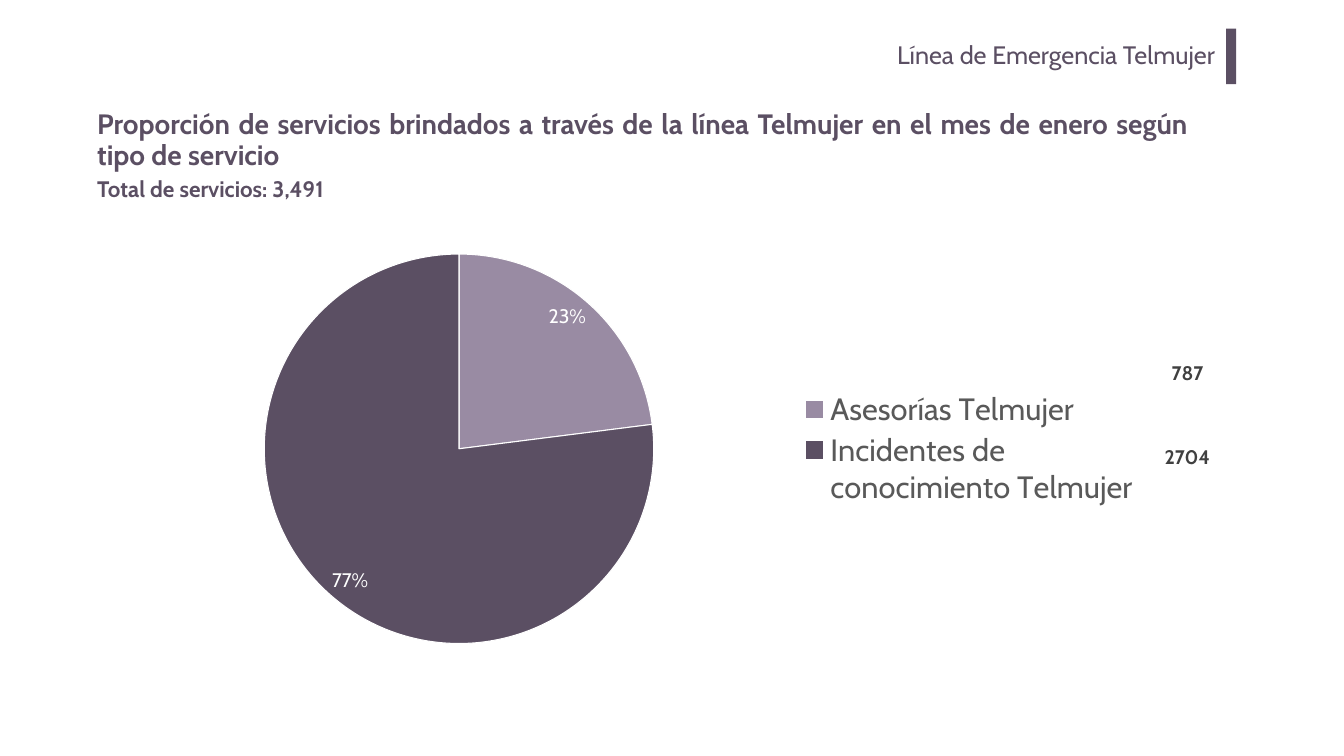
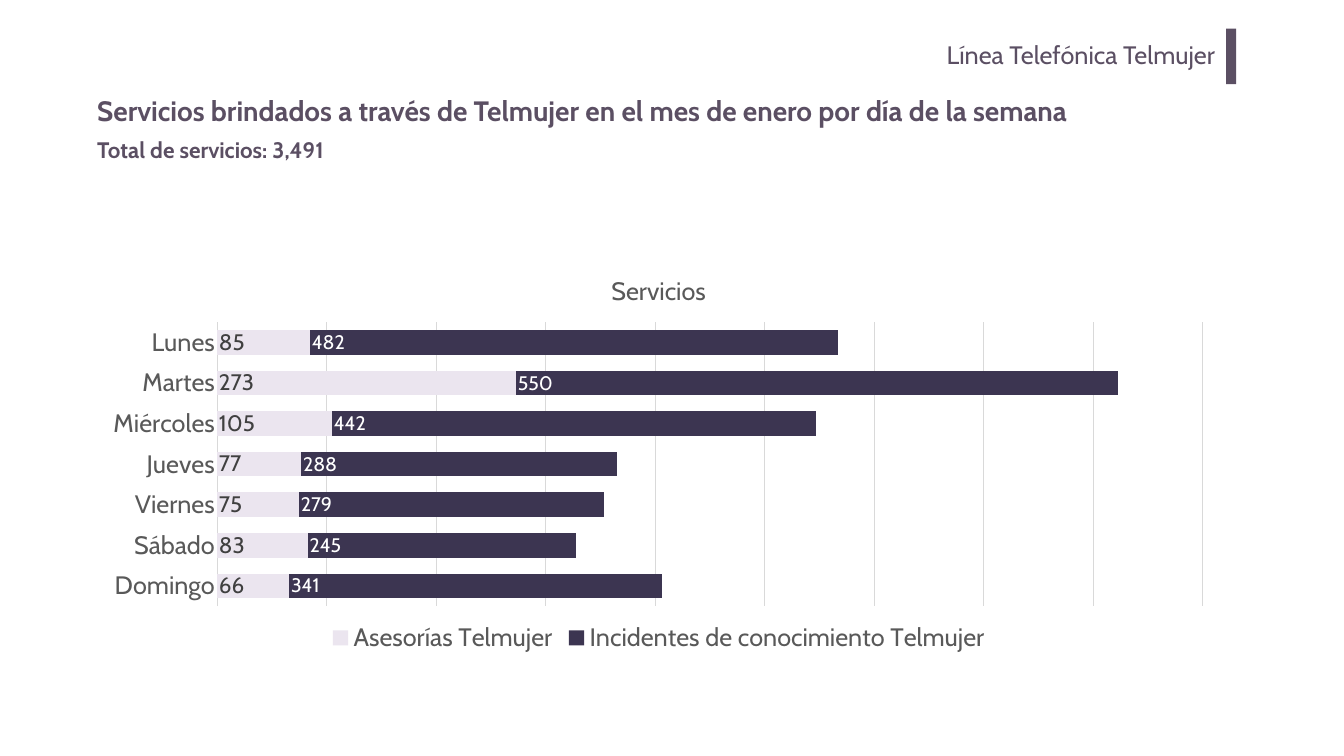
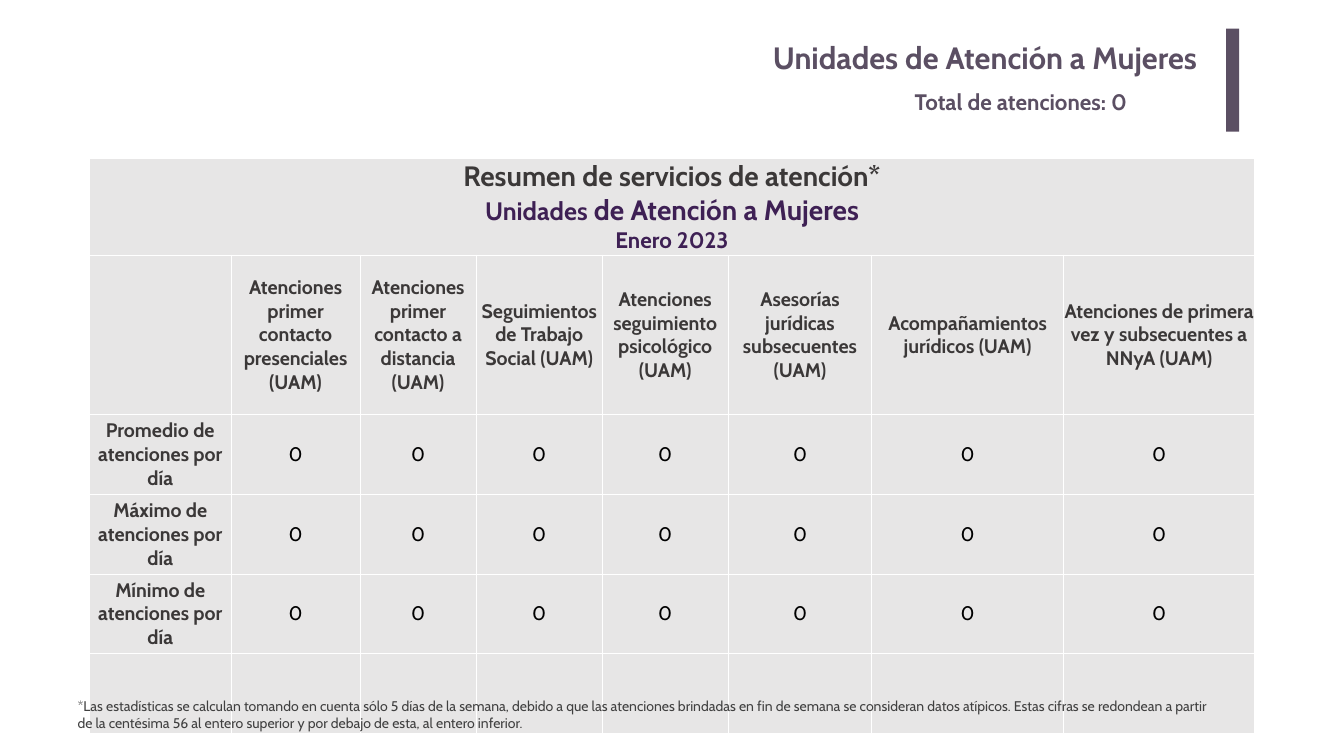
from lxml import etree
from pptx import Presentation
from pptx import util as u
from pptx.chart import data
from pptx.dml import color
from pptx.enum import chart as ch
from pptx.enum import shapes, text
from pptx.oxml import ns

FONT = "Cabin"
HUES = {
    "plum": "5B4F63", "mauve": "998BA3", "pale": "EBE5EF", "night": "3C3551",
    "violet": "3E2054", "dark": "404040", "ink": "3B3838", "label": "595959",
    "grid": "D9D9D9", "cell": "E7E6E6", "white": "FFFFFF", "black": "000000",
}
ALIGN = text.PP_ALIGN
TOTAL = "Total de servicios: 3,491"
KINDS = ["Asesorías Telmujer", "Incidentes de conocimiento Telmujer"]


def rgb(name):
    return color.RGBColor.from_string(HUES[name])


def style(font, size, hue, bold=False):
    font.name = FONT
    font.size = u.Pt(size)
    font.bold = bold
    font.color.rgb = rgb(hue)


def write(par, words, size=28, hue="plum", bold=False, align=ALIGN.LEFT, space=None):
    par.alignment = align
    if space:
        par.line_spacing = space
    run = par.add_run()
    run.text = words
    style(run.font, size, hue, bold)


def paint(fill, hue):
    fill.solid()
    fill.fore_color.rgb = rgb(hue)


def place(part, x, y, w, h, inner=False):
    for old in part.findall(ns.qn("c:layout")):
        part.remove(old)
    layout = etree.Element(ns.qn("c:layout"))
    manual = etree.SubElement(layout, ns.qn("c:manualLayout"))
    pairs = [("layoutTarget", "inner")] if inner else []
    pairs += [("xMode", "edge"), ("yMode", "edge"), ("x", x), ("y", y), ("w", w), ("h", h)]
    for tag, val in pairs:
        etree.SubElement(manual, ns.qn("c:" + tag)).set("val", str(val))
    part.insert(0 if inner else 1, layout)


def border(cell, hue="white", width=1):
    props = cell._tc.get_or_add_tcPr()
    for i, side in enumerate(("lnL", "lnR", "lnT", "lnB")):
        line = etree.Element(ns.qn("a:" + side), w=str(u.Pt(width)))
        fill = etree.SubElement(line, ns.qn("a:solidFill"))
        etree.SubElement(fill, ns.qn("a:srgbClr"), val=HUES[hue])
        props.insert(i, line)


class Deck:
    def __init__(self):
        self.prs = Presentation()
        self.prs.slide_width = u.Inches(26.67)
        self.prs.slide_height = u.Inches(15)
        self.slide = None

    def page(self):
        self.slide = self.prs.slides.add_slide(self.prs.slide_layouts[6])
        paint(self.slide.background.fill, "white")

    def text(self, box, words, inset=(0.1, 0.05), anchor=text.MSO_ANCHOR.TOP, **fmt):
        frame = self.slide.shapes.add_textbox(*map(u.Inches, box)).text_frame
        frame.word_wrap = True
        frame.vertical_anchor = anchor
        frame.margin_left = frame.margin_right = u.Inches(inset[0])
        frame.margin_top = frame.margin_bottom = u.Inches(inset[1])
        write(frame.paragraphs[0], words, **fmt)

    def bar(self, w, h):
        shape = self.slide.shapes.add_shape(
            shapes.MSO_SHAPE.RECTANGLE, *map(u.Inches, (24.33, 0.57, w, h)))
        shape.shadow.inherit = False
        paint(shape.fill, "plum")
        shape.line.fill.background()

    def head(self, words, left=4.01, size=36, bold=False, bar=(0.2, 1.1)):
        self.text((left, 0.67, 20.3, 1.02), words, inset=(0.2, 0.1),
                  size=size, bold=bold, align=ALIGN.RIGHT)
        self.bar(*bar)

    def title(self, words, top, below, width):
        self.text((1.83, top, 21.85, 1.45), words, anchor=text.MSO_ANCHOR.MIDDLE,
                  size=40, bold=True, align=ALIGN.JUSTIFY, space=0.9)
        self.text((1.83, below, width, 0.64), TOTAL, size=32, bold=True)

    def chart(self, box, kind, cats, rows, side, size):
        info = data.CategoryChartData()
        info.categories = cats
        for name, vals in rows:
            info.add_series(name, vals)
        chart = self.slide.shapes.add_chart(kind, *map(u.Inches, box), info).chart
        style(chart.font, 10, "black")
        chart.has_legend = True
        chart.legend.position = side
        chart.legend.include_in_layout = False
        style(chart.legend.font, size, "label")
        return chart

    def tags(self, owner, size, hue, place, percent=False):
        tags = owner.data_labels
        tags.show_percentage = percent
        tags.show_value = not percent
        tags.number_format = "0%" if percent else "0"
        tags.number_format_is_linked = False
        tags.position = place
        style(tags.font, size, hue)

    def table(self, spot, cols, rows):
        box = (*spot, sum(cols), sum(rows))
        grid = self.slide.shapes.add_table(
            len(rows), len(cols), *map(u.Inches, box)).table
        grid.first_row = grid.horz_banding = False
        for col, w in zip(grid.columns, cols):
            col.width = u.Inches(w)
        for row, h in zip(grid.rows, rows):
            row.height = u.Inches(h)
        for cell in grid.iter_cells():
            cell.margin_left = cell.margin_right = 0
            cell.margin_top = cell.margin_bottom = 0
            cell.vertical_anchor = text.MSO_ANCHOR.MIDDLE
            paint(cell.fill, "cell")
            border(cell)
        return grid


def share(deck):
    deck.page()
    deck.head("Línea de Emergencia Telmujer")
    deck.title("Proporción de servicios brindados a través de la línea Telmujer "
               "en el mes de enero según tipo de servicio", 2.07, 3.43, 5.64)
    for box, count in (((23.04, 7.12, 1.05, 0.51), "787"),
                       ((22.81, 8.77, 1.5, 0.51), "2704")):
        deck.text(box, count, hue="dark", bold=True, align=ALIGN.CENTER)
    chart = deck.chart((2.36, 4.88, 20.45, 8.05), ch.XL_CHART_TYPE.PIE, KINDS,
                       [("Series 1", (23, 77))], ch.XL_LEGEND_POSITION.RIGHT, 44)
    chart.has_title = False
    plot = chart.plots[0]
    plot.vary_by_categories = True
    for i, hue in enumerate(("mauve", "plum")):
        point = plot.series[0].points[i]
        paint(point.format.fill, hue)
        point.format.line.color.rgb = rgb("white")
        point.format.line.width = u.Pt(1.5)
    deck.tags(plot.series[0], 28, "white", ch.XL_LABEL_POSITION.INSIDE_END, True)
    place(chart._chartSpace.chart.plotArea, 0.14, 0.02, 0.38, 0.96, True)
    place(chart.legend._element, 0.66, 0.35, 0.33, 0.3)


def week(deck):
    deck.page()
    deck.head("Línea Telefónica Telmujer")
    deck.title("Servicios brindados a través de Telmujer en el mes de enero "
               "por día de la semana", 1.51, 2.65, 8.12)
    days = ["Domingo", "Sábado", "Viernes", "Jueves", "Miércoles", "Martes", "Lunes"]
    vals = [(66, 83, 75, 77, 105, 273, 85), (341, 245, 279, 288, 442, 550, 482)]
    chart = deck.chart((1.83, 5.12, 22.48, 7.94), ch.XL_CHART_TYPE.BAR_STACKED, days,
                       zip(KINDS, vals), ch.XL_LEGEND_POSITION.BOTTOM, 36)
    chart.has_title = True
    write(chart.chart_title.text_frame.paragraphs[0], "Servicios", size=36,
          hue="label", align=ALIGN.CENTER)
    plot = chart.plots[0]
    plot.vary_by_categories = False
    plot.gap_width = 65
    plot.overlap = 100
    looks = (("pale", 32, "dark"), ("night", 28, "white"))
    for row, (hue, size, ink) in zip(plot.series, looks):
        paint(row.format.fill, hue)
        deck.tags(row, size, ink, ch.XL_LABEL_POSITION.INSIDE_BASE)
    axis = chart.category_axis
    axis.major_tick_mark = ch.XL_TICK_MARK.NONE
    style(axis.tick_labels.font, 36, "label")
    scale = chart.value_axis
    scale.visible = False
    scale.minimum_scale, scale.maximum_scale, scale.major_unit = 0, 900, 100
    scale.has_major_gridlines = True
    for line in (axis.format.line, scale.major_gridlines.format.line):
        line.color.rgb = rgb("grid")
        line.width = u.Pt(0.75)
    place(chart._chartSpace.chart.plotArea, 0.11, 0.16, 0.87, 0.71, True)


def units(deck):
    deck.page()
    grid = deck.table((1.77, 3.15), [2.82, 2.55, 2.31, 2.5, 2.5, 2.85, 3.8, 3.8],
                      [1.91, 3.17] + [1.58] * 4)
    top = grid.cell(0, 0)
    top.merge(grid.cell(0, 7))
    lines = [[("Resumen de servicios de atención*", 40, "ink")],
             [("Unidades", 36, "violet"), (" de Atención a Mujeres", 40, "violet")],
             [("Enero 2023", 32, "violet")]]
    frame = top.text_frame
    for i, line in enumerate(lines):
        par = frame.add_paragraph() if i else frame.paragraphs[0]
        for words, size, hue in line:
            write(par, words, size=size, hue=hue, bold=True, align=ALIGN.CENTER)
    heads = ["", "Atenciones primer contacto presenciales (UAM)",
             "Atenciones primer contacto a distancia (UAM)",
             "Seguimientos de Trabajo Social (UAM)",
             "Atenciones seguimiento psicológico (UAM)",
             "Asesorías jurídicas subsecuentes (UAM)",
             "Acompañamientos jurídicos (UAM)",
             "Atenciones de primera vez y subsecuentes a NNyA (UAM)"]
    rows = [heads] + [[f"{name} de atenciones por día"] + ["0"] * 7
                      for name in ("Promedio", "Máximo", "Mínimo")]
    for r, row in enumerate(rows, 1):
        for c, words in enumerate(row):
            if words:
                bold = words != "0"
                write(grid.cell(r, c).text_frame.paragraphs[0], words, bold=bold,
                      hue="ink" if bold else "black", align=ALIGN.CENTER)
    deck.text((1.44, 13.79, 22.77, 0.77),
              "*Las estadísticas se calculan tomando en cuenta sólo 5 días de la semana, "
              "debido a que las atenciones brindadas en fin de semana se consideran datos "
              "atípicos. Estas cifras se redondean a partir de la centésima 56 al entero "
              "superior y por debajo de esta, al entero inferior.", size=20, hue="dark")
    deck.head("Unidades de Atención a Mujeres", 3.66, 44, True, (0.26, 2.04))
    deck.text((18.05, 1.69, 5.97, 0.64), "Total de atenciones: 0", size=32, bold=True)


def main():
    deck = Deck()
    for build in (share, week, units):
        build(deck)
    deck.prs.save("out.pptx")


if __name__ == "__main__":
    main()
